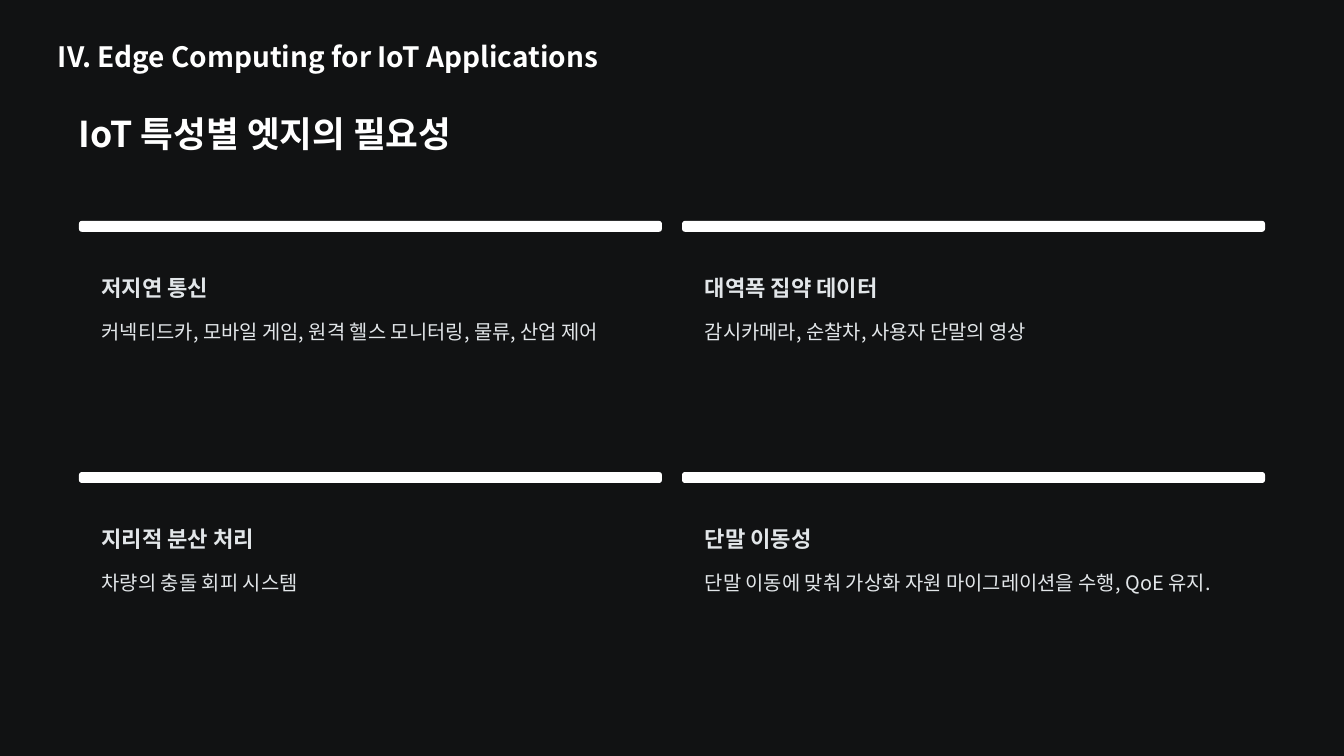
from lxml.etree import SubElement
from pptx import Presentation
from pptx.dml.color import RGBColor
from pptx.enum.shapes import MSO_SHAPE
from pptx.enum.text import MSO_ANCHOR, MSO_AUTO_SIZE, PP_ALIGN
from pptx.oxml.ns import qn
from pptx.util import Inches, Pt

COLORS = {"night": "111213", "white": "FFFFFF", "mist": "E2E6E9"}
FONT = "Noto Sans CJK KR"

COLUMN_LEFTS = (0.94, 8.12)
ROWS = ((2.63, 2.4, 0.067), (5.62, 2.05, 0.078))  # top, card height, corner
CARD_WIDTH = 6.94
TOPICS = (
    (
        ("저지연 통신", "커넥티드카, 모바일 게임, 원격 헬스 모니터링, 물류, 산업 제어"),
        ("대역폭 집약 데이터", "감시카메라, 순찰차, 사용자 단말의 영상"),
    ),
    (
        ("지리적 분산 처리", "차량의 충돌 회피 시스템"),
        ("단말 이동성", "단말 이동에 맞춰 가상화 자원 마이그레이션을 수행, QoE 유지."),
    ),
)


class SlideBuilder:
    def __init__(self, page):
        self.page = page
        fill = page.background.fill
        fill.solid()
        fill.fore_color.rgb = self.color("night")

    def color(self, name):
        return RGBColor.from_string(COLORS[name])

    def fill_text(self, box, text, size, leading, color, bold):
        frame = box.text_frame
        frame.margin_left = frame.margin_right = 0
        frame.margin_top = frame.margin_bottom = 0
        frame.word_wrap = True
        frame.auto_size = MSO_AUTO_SIZE.NONE
        frame.vertical_anchor = MSO_ANCHOR.TOP
        para = frame.paragraphs[0]
        para.text = text
        para.alignment = PP_ALIGN.LEFT
        para.line_spacing = Pt(leading)
        para.space_before = Pt(0)
        font = para.font
        font.size = Pt(size)
        font.bold = bold
        font.color.rgb = self.color(color)
        font.name = FONT
        properties = para._p.pPr.find(qn("a:defRPr"))
        SubElement(properties, qn("a:ea")).set("typeface", FONT)

    def title(self, text, left, top, width, height, size, leading):
        box = self.page.shapes.title
        box.left, box.top = Inches(left), Inches(top)
        box.width, box.height = Inches(width), Inches(height)
        self.fill_text(box, text, size, leading, "white", True)

    def text(self, text, left, top, width, height, size, leading, color="mist", bold=False):
        box = self.page.shapes.add_textbox(
            Inches(left), Inches(top), Inches(width), Inches(height))
        self.fill_text(box, text, size, leading, color, bold)

    def rounded(self, left, top, width, height, corner, color):
        shape = self.page.shapes.add_shape(
            MSO_SHAPE.ROUNDED_RECTANGLE,
            Inches(left), Inches(top), Inches(width), Inches(height))
        shape.adjustments[0] = corner
        shape.shadow.inherit = False
        shape.fill.solid()
        shape.fill.fore_color.rgb = self.color(color)
        shape.line.fill.background()

    def card(self, left, top, height, corner, heading, detail):
        self.rounded(left, top + 0.03, CARD_WIDTH, height, corner, "night")
        self.rounded(left, top, CARD_WIDTH, 0.13, 0.266, "white")
        text_left = left + 0.27
        self.text(heading, text_left, top + 0.62, 6.4, 0.34, 19, 24, bold=True)
        self.text(detail, text_left, top + 1.1, 6.6, 0.71, 17, 25.5)


def main():
    deck = Presentation()
    deck.slide_width, deck.slide_height = Inches(16), Inches(9)
    builder = SlideBuilder(deck.slides.add_slide(deck.slide_layouts[5]))
    builder.title("IoT 특성별 엣지의 필요성", 0.94, 1.3, 6, 0.54, 30.5, 38.5)
    for (top, height, corner), topics in zip(ROWS, TOPICS):
        for left, (heading, detail) in zip(COLUMN_LEFTS, topics):
            builder.card(left, top, height, corner, heading, detail)
    builder.text("IV. Edge Computing for IoT Applications",
                 0.69, 0.48, 8, 0.39, 24, 28, "white", True)
    deck.save("out.pptx")


if __name__ == "__main__":
    main()
